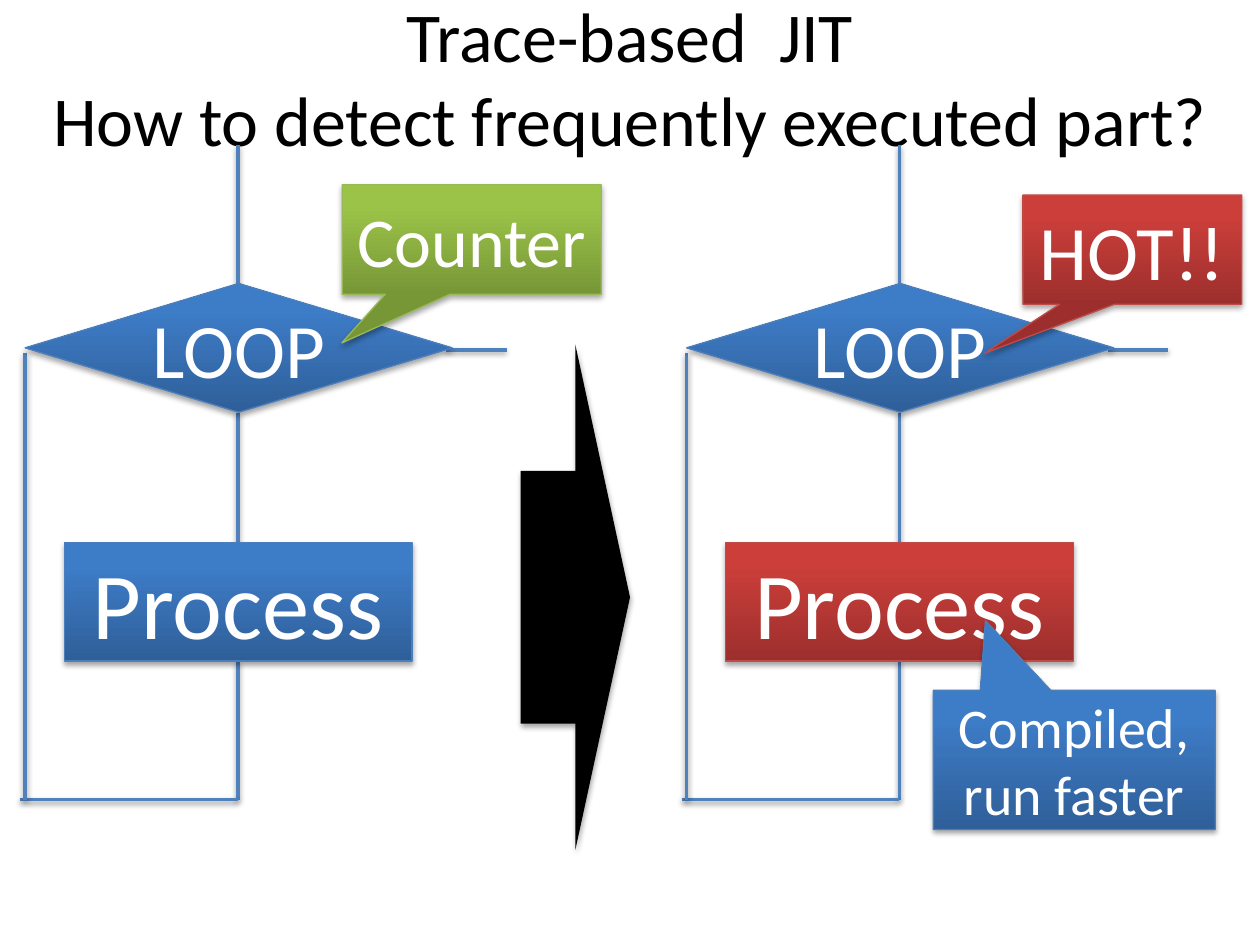
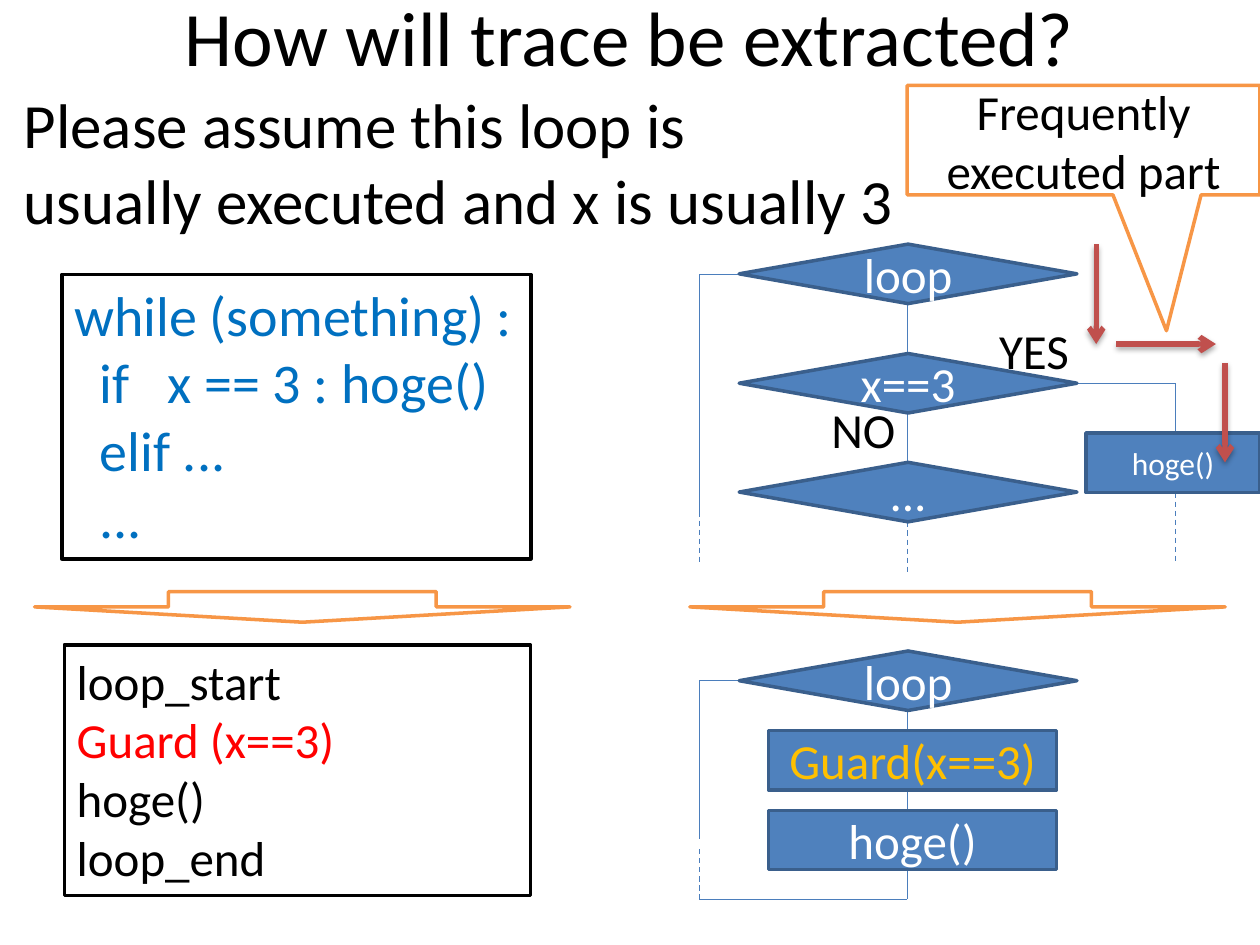
from lxml import etree
from pptx import Presentation
from pptx.dml.color import RGBColor
from pptx.enum import dml, shapes, text
from pptx.oxml import ns
from pptx.util import Pt

FONT = "Calibri"
COLORS = {
    "black": "000000", "white": "FFFFFF", "red": "FF0000", "gold": "FFC000",
    "code": "0070C0", "flow": "4F81BD", "flow_edge": "3A5F8C", "thin": "4B7EBC",
    "orange": "F79646", "trace": "C0504D",
}
GRADIENTS = {
    "blue": ("2F5F99", "3D7CC7", "4B7EBC"),
    "red": ("9C2F2D", "CB3E3A", "BF4C48"),
    "green": ("779737", "9BC348", "98B955"),
}
KINDS = shapes.MSO_SHAPE
CENTER = text.PP_ALIGN.CENTER

DETECT_TITLE = ["Trace-based  JIT", "How to detect frequently executed part?"]
LOOP_LINES = [
    (136, 83, 136, 162), (136, 236, 136, 315), (136, 378, 136, 457),
    (136, 457, 11.5, 457), (14.4, 202, 14.4, 457), (255, 200, 289.5, 200),
]
LOOP_BOX = (14.4, 162, 244, 73.6)
PROCESS_BOX = (36.7, 309.8, 198.7, 68)
LOOPS = [(0, "blue"), (378, "red")]
GLOSSY_CALLOUTS = [
    ("Counter", (195.6, 105.6, 148, 62.5), 40, "green", (-0.502, 0.946)),
    ("HOT!!", (584.6, 111.4, 125, 62.5), 44, "red", (-0.675, 0.946)),
    ("Compiled, run faster", (533.4, 394.5, 161, 79.5), 32, "blue", (-0.315, -1.001)),
]
NEXT_ARROW = (297.5, 196.8, 62.5, 289)

EXTRACT_TITLE = ["How will trace be extracted?"]
ASSUMPTION = [
    ("Please assume this loop is", "black", 0),
    ("usually executed and x is usually 3", "black", 0),
]
SOURCE_CODE = [
    ("while (something) :", "code", 0),
    ("if   x == 3 : hoge()", "code", 14.5),
    ("elif ...", "code", 14.5),
    ("...", "code", 14.5),
]
TRACE_CODE = [
    ("loop_start", "black", 0), ("Guard (x==3)", "red", 0),
    ("hoge()", "black", 0), ("loop_end", "black", 0),
]
TEXT_BOXES = [
    (SOURCE_CODE, (35.4, 156.8, 268, 162.6), 32, True, False),
    (ASSUMPTION, (6.5, 45.5, 523.5, 94.5), 36, False, False),
    (TRACE_CODE, (36.8, 368.5, 266.4, 143.2), 28, True, True),
    ([("NO", "black", 0)], (468, 224.8, 52, 41), 28, False, False),
    ([("YES", "black", 0)], (563.8, 179.5, 55, 41), 28, False, False),
]
STEM, RETURN, BRANCH, STEP_H = 518.4, 399.6, 671.8, 34
DECISIONS = [("loop", 139.5), ("x==3", 202), ("...", 264.2), ("loop", 372)]
STEPS = [
    ("hoge()", (620.6, 247.4, 99.4), 18, "white"),
    ("Guard(x==3)", (439.2, 417.4, 164.5), 28, "gold"),
    ("hoge()", (439.2, 463, 164.5), 28, "white"),
]
VERTICALS = [
    (STEM, 173.5, 202, False), (STEM, 236, 264.2, False), (STEM, 298, 327, True),
    (STEM, 406, 417.4, False), (STEM, 446, 463, False), (STEM, 497, 514, False),
    (RETURN, 156.8, 292.3, False), (RETURN, 292.3, 321, True),
    (RETURN, 389, 479.5, False), (RETURN, 485.3, 514, True),
    (BRANCH, 219, 247.4, False), (BRANCH, 281.5, 321, True),
]
HORIZONTALS = [
    (RETURN, 427.7, 156.8), (RETURN, 427.7, 389),
    (RETURN, STEM, 514), (615, BRANCH, 219),
]
TRACE_ARROWS = [
    (626.4, 139.7, 626.4, 196.6), (700, 207.4, 700, 264.2), (638, 196.6, 694.8, 196.6),
]
FREQUENT_BOX = (518.4, 48.8, 201.6, 62.5)
DOWN_ARROWS = [(164, 193.8, 17.5, 306), (538.4, 193.8, 17.5, 306)]


def rgb(value):
    return RGBColor.from_string(COLORS.get(value, value))


def apply(target, **values):
    for name, value in values.items():
        setattr(target, name, value)


def points(values):
    return [Pt(v) for v in values]


def set_fill(s, color):
    s.fill.solid()
    s.fill.fore_color.rgb = rgb(color)


def set_line(s, color, width):
    s.line.color.rgb = rgb(color)
    s.line.width = Pt(width)


def add_run(p, words, size, color):
    r = p.add_run()
    apply(r, text=words)
    apply(r.font, name=FONT, size=Pt(size))
    r.font.color.rgb = rgb(color)


def add_shadow(effects, dist=1.8, alpha=35):
    shadow = etree.SubElement(effects, ns.qn("a:outerShdw"), blurRad=str(Pt(3.15)),
                              dist=str(Pt(dist)), dir="5400000", rotWithShape="0")
    color = etree.SubElement(shadow, ns.qn("a:srgbClr"), val=COLORS["black"])
    etree.SubElement(color, ns.qn("a:alpha"), val=str(alpha * 1000))


def add_title(slide, lines, box, size):
    s = slide.shapes.title
    left, top, width, height = points(box)
    apply(s, left=left, top=top, width=width, height=height)
    tf = s.text_frame
    apply(tf, word_wrap=True, auto_size=text.MSO_AUTO_SIZE.NONE,
          vertical_anchor=text.MSO_ANCHOR.MIDDLE)
    p = tf.paragraphs[0]
    p.alignment = CENTER
    for i, line in enumerate(lines):
        if i:
            p.add_line_break()
        add_run(p, line, size, "black")


def add_line(slide, ends, color="thin", width=0.75, dashed=False, arrow=False, shadow=None):
    c = slide.shapes.add_connector(shapes.MSO_CONNECTOR.STRAIGHT, *points(ends))
    set_line(c, color, width)
    if dashed:
        c.line.dash_style = dml.MSO_LINE.DASH
    sp_pr = c._element.spPr
    if arrow:
        etree.SubElement(sp_pr.find(ns.qn("a:ln")), ns.qn("a:tailEnd"), type="arrow")
    effects = etree.SubElement(sp_pr, ns.qn("a:effectLst"))
    if shadow:
        add_shadow(effects, *shadow)


def add_box(slide, kind, box, words="", size=28, color="white",
            fill="flow", edge="flow_edge", adjust=()):
    s = slide.shapes.add_shape(kind, *points(box))
    s.shadow.inherit = False
    for i, value in enumerate(adjust):
        s.adjustments[i] = value
    set_fill(s, fill)
    if edge:
        set_line(s, edge, 2)
    else:
        s.line.fill.background()
    if words:
        tf = s.text_frame
        apply(tf, word_wrap=True, vertical_anchor=text.MSO_ANCHOR.MIDDLE)
        p = tf.paragraphs[0]
        p.alignment = CENTER
        add_run(p, words, size, color)
    return s


def raise_box(s):
    add_shadow(s._element.spPr.find(ns.qn("a:effectLst")))


def add_glossy(slide, kind, box, words, size, tone, adjust=()):
    dark, light, edge = GRADIENTS[tone]
    s = add_box(slide, kind, box, words, size, adjust=adjust)
    s.fill.gradient()
    s.fill.gradient_angle = 90
    for stop, color, position in zip(s.fill.gradient_stops, (dark, light), (0, 0.8)):
        stop.color.rgb = rgb(color)
        stop.position = position
    set_line(s, edge, 0.75)
    raise_box(s)


def add_text(slide, lines, box, size, framed, wrap):
    s = slide.shapes.add_textbox(*points(box))
    if framed:
        set_fill(s, "white")
        set_line(s, "black", 2)
    tf = s.text_frame
    apply(tf, word_wrap=wrap, auto_size=text.MSO_AUTO_SIZE.SHAPE_TO_FIT_TEXT)
    for i, (words, color, indent) in enumerate(lines):
        p = tf.add_paragraph() if i else tf.paragraphs[0]
        if indent:
            p._p.get_or_add_pPr().set("marL", str(Pt(indent)))
        add_run(p, words, size, color)


def build_detection(slide):
    add_title(slide, DETECT_TITLE, (0, -1.5, 720, 90), 40)
    for dx, tone in LOOPS:
        for x1, y1, x2, y2 in LOOP_LINES:
            add_line(slide, (x1 + dx, y1, x2 + dx, y2), "flow", 2, shadow=(1.6, 38))
        for kind, (x, *rest), words, size, fill in [
            (KINDS.DIAMOND, LOOP_BOX, "LOOP", 44, "blue"),
            (KINDS.RECTANGLE, PROCESS_BOX, "Process", 54, tone),
        ]:
            add_glossy(slide, kind, (x + dx, *rest), words, size, fill)
    for words, box, size, tone, adjust in GLOSSY_CALLOUTS:
        add_glossy(slide, KINDS.RECTANGULAR_CALLOUT, box, words, size, tone, adjust)
    raise_box(add_box(slide, KINDS.RIGHT_ARROW, NEXT_ARROW, fill="black", edge=None))


def build_extraction(slide):
    add_title(slide, EXTRACT_TITLE, (36, -24.5, 648, 90), 44)
    for x, top, bottom, dashed in VERTICALS:
        add_line(slide, (x, top, x, bottom), dashed=dashed)
    for left, right, y in HORIZONTALS:
        add_line(slide, (left, y, right, y))
    for words, top in DECISIONS:
        add_box(slide, KINDS.FLOWCHART_DECISION, (422.4, top, 193, STEP_H), words)
    for words, place, size, color in STEPS:
        add_box(slide, KINDS.RECTANGLE, (*place, STEP_H), words, size, color)
    for block in TEXT_BOXES:
        add_text(slide, *block)
    for ends in TRACE_ARROWS:
        add_line(slide, ends, "trace", 3, arrow=True, shadow=(1.8, 35))
    add_box(slide, KINDS.RECTANGULAR_CALLOUT, FREQUENT_BOX, "Frequently executed part",
            28, "black", "white", "orange", (0.235, 1.743))
    for box in DOWN_ARROWS:
        add_box(slide, KINDS.RIGHT_ARROW, box, fill="white", edge="orange").rotation = 90


def main():
    prs = Presentation()
    apply(prs, slide_width=Pt(720), slide_height=Pt(540))
    for build in (build_detection, build_extraction):
        build(prs.slides.add_slide(prs.slide_layouts[5]))
    prs.save("out.pptx")


if __name__ == "__main__":
    main()
